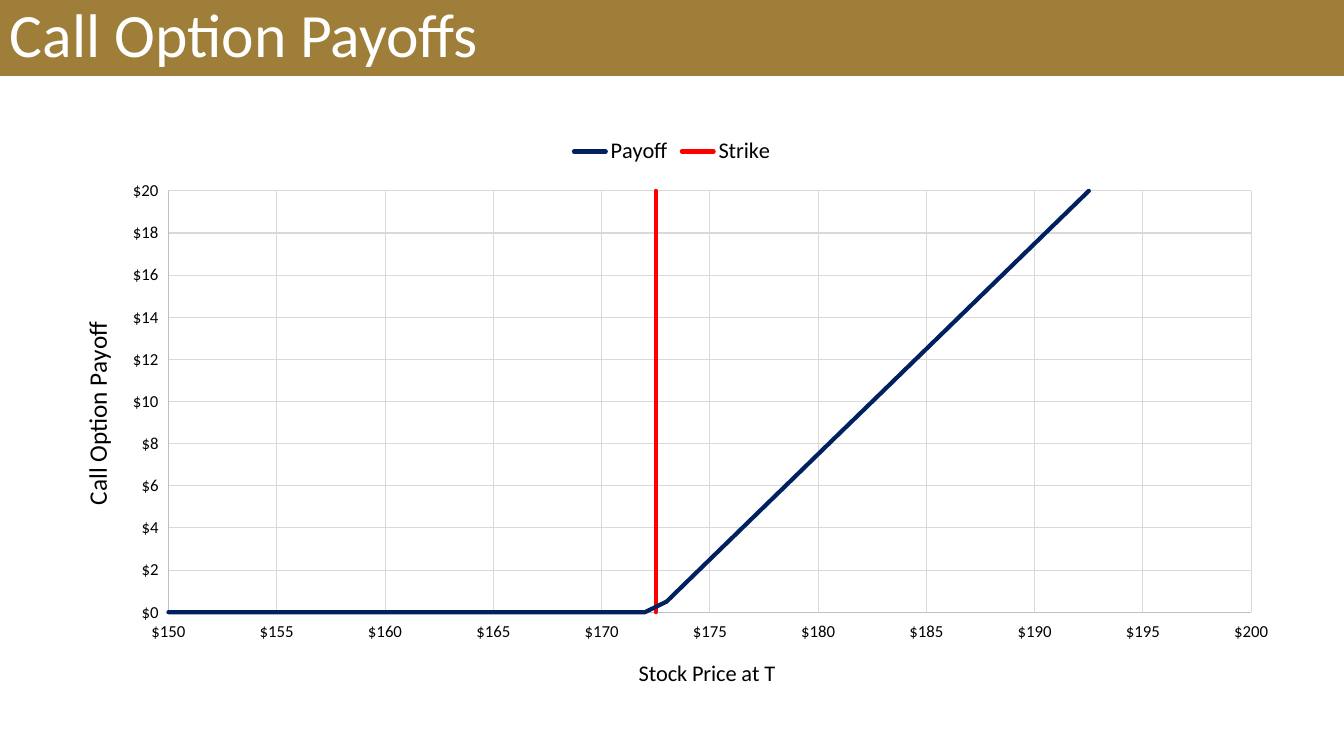
"""Build a slide that charts the payoff of a call option against its strike."""
from dataclasses import dataclass

from lxml import etree
from pptx import Presentation
from pptx.chart.data import XyChartData
from pptx.dml.color import RGBColor
from pptx.enum.chart import XL_CHART_TYPE, XL_LEGEND_POSITION, XL_TICK_LABEL_POSITION, XL_TICK_MARK
from pptx.enum.shapes import MSO_SHAPE
from pptx.enum.text import MSO_ANCHOR
from pptx.oxml.ns import qn
from pptx.util import Emu, Pt

SCATTER = XL_CHART_TYPE.XY_SCATTER_LINES_NO_MARKERS
LEGEND_TOP = XL_LEGEND_POSITION.TOP
LABELS_LOW = XL_TICK_LABEL_POSITION.LOW
NO_TICK = XL_TICK_MARK.NONE
RECTANGLE = MSO_SHAPE.RECTANGLE
MIDDLE = MSO_ANCHOR.MIDDLE

EMU_PER_PX = 9525
FONT = "Calibri"
COLORS = {
    "gold": "9E7E38",
    "white": "FFFFFF",
    "black": "000000",
    "navy": "002060",
    "red": "FF0000",
    "axis": "BFBFBF",
    "grid": "D9D9D9",
}
STRIKE = 172.5
PRICES = range(150, 201)
PAYOFFS = [max(0, price - STRIKE) for price in PRICES]


@dataclass(frozen=True)
class Curve:
    name: str
    prices: list[float]
    color: str


@dataclass(frozen=True)
class AxisStyle:
    title: str
    title_size: int
    title_place: dict[str, float]
    rotation: int
    low: int
    high: int
    step: int


CURVES = [
    Curve("Payoff", list(PRICES), "navy"),
    Curve("Strike", [STRIKE] * len(PRICES), "red"),
]
PRICE_AXIS = AxisStyle("Stock Price at T", 16, {"x": 0.47, "y": 0.91}, 0, 150, 200, 5)
PAYOFF_AXIS = AxisStyle("Call Option Payoff", 18, {"x": 0.02, "y": 0.33}, -5400000, 0, 20, 2)
PLOT_PLACE = {"x": 0.095, "y": 0.112, "w": 0.871, "h": 0.727}


def px(length: int) -> Emu:
    return Emu(length * EMU_PER_PX)


def color(name: str) -> RGBColor:
    return RGBColor.from_string(COLORS[name])


def style_font(font, size: int, name: str) -> None:
    font.name = FONT
    font.size = Pt(size)
    font.bold = False
    font.color.rgb = color(name)


def style_line(line, width: float, name: str) -> None:
    line.width = Pt(width)
    line.color.rgb = color(name)


def place(parent, index: int, values: dict[str, float], inner: bool = False) -> None:
    for old in parent.findall(qn("c:layout")):
        parent.remove(old)
    layout = etree.Element(qn("c:layout"))
    manual = etree.SubElement(layout, qn("c:manualLayout"))
    settings = {"layoutTarget": "inner"} if inner else {}
    settings |= {"xMode": "edge", "yMode": "edge"} | values
    for key, value in settings.items():
        etree.SubElement(manual, qn(f"c:{key}")).set("val", str(value))
    parent.insert(index, layout)


def add_header(page, text: str) -> None:
    box = page.shapes.add_shape(RECTANGLE, px(0), px(0), px(1280), px(72))
    box.shadow.inherit = False
    box.fill.solid()
    box.fill.fore_color.rgb = color("gold")
    style_line(box.line, 0.75, "gold")
    title = page.shapes.add_textbox(px(0), px(0), px(1280), px(72))
    frame = title.text_frame
    frame.word_wrap = True
    frame.vertical_anchor = MIDDLE
    para = frame.paragraphs[0]
    para.line_spacing = 0.9
    span = para.add_run()
    span.text = text
    style_font(span.font, 44, "white")


def style_axis(axis, style: AxisStyle) -> None:
    axis.minimum_scale = style.low
    axis.maximum_scale = style.high
    axis.major_unit = style.step
    axis.major_tick_mark = axis.minor_tick_mark = NO_TICK
    axis.tick_label_position = LABELS_LOW
    axis.tick_labels.number_format = '"$"#,##0'
    axis.tick_labels.number_format_is_linked = False
    style_font(axis.tick_labels.font, 12, "black")
    style_line(axis.format.line, 0.75, "axis")
    axis.has_major_gridlines = True
    style_line(axis.major_gridlines.format.line, 0.75, "grid")
    frame = axis.axis_title.text_frame
    span = frame.paragraphs[0].add_run()
    span.text = style.title
    style_font(span.font, style.title_size, "black")
    body = frame._txBody.find(qn("a:bodyPr"))
    body.set("rot", str(style.rotation))
    body.set("vert", "horz")
    place(axis.axis_title._element, 1, style.title_place)


def add_payoff_chart(page) -> None:
    data = XyChartData()
    for curve in CURVES:
        series = data.add_series(curve.name)
        for price, payoff in zip(curve.prices, PAYOFFS):
            series.add_data_point(price, payoff)
    chart = page.shapes.add_chart(SCATTER, px(48), px(120), px(1184), px(552), data).chart
    chart.has_title = False
    style_font(chart.font, 10, "black")
    chart.has_legend = True
    chart.legend.position = LEGEND_TOP
    chart.legend.include_in_layout = False
    style_font(chart.legend.font, 16, "black")
    plot = chart.plots[0]
    plot.vary_by_categories = False
    for series, curve in zip(plot.series, CURVES):
        series.smooth = False
        style_line(series.format.line, 3, curve.color)
        series.format.line._get_or_add_ln().set("cap", "rnd")
    style_axis(chart.category_axis, PRICE_AXIS)
    style_axis(chart.value_axis, PAYOFF_AXIS)
    place(chart._chartSpace.chart.plotArea, 0, PLOT_PLACE, inner=True)


def main() -> None:
    deck = Presentation()
    deck.slide_width, deck.slide_height = px(1280), px(720)
    page = deck.slides.add_slide(deck.slide_layouts[6])
    add_header(page, "Call Option Payoffs")
    add_payoff_chart(page)
    deck.save("out.pptx")


if __name__ == "__main__":
    main()
